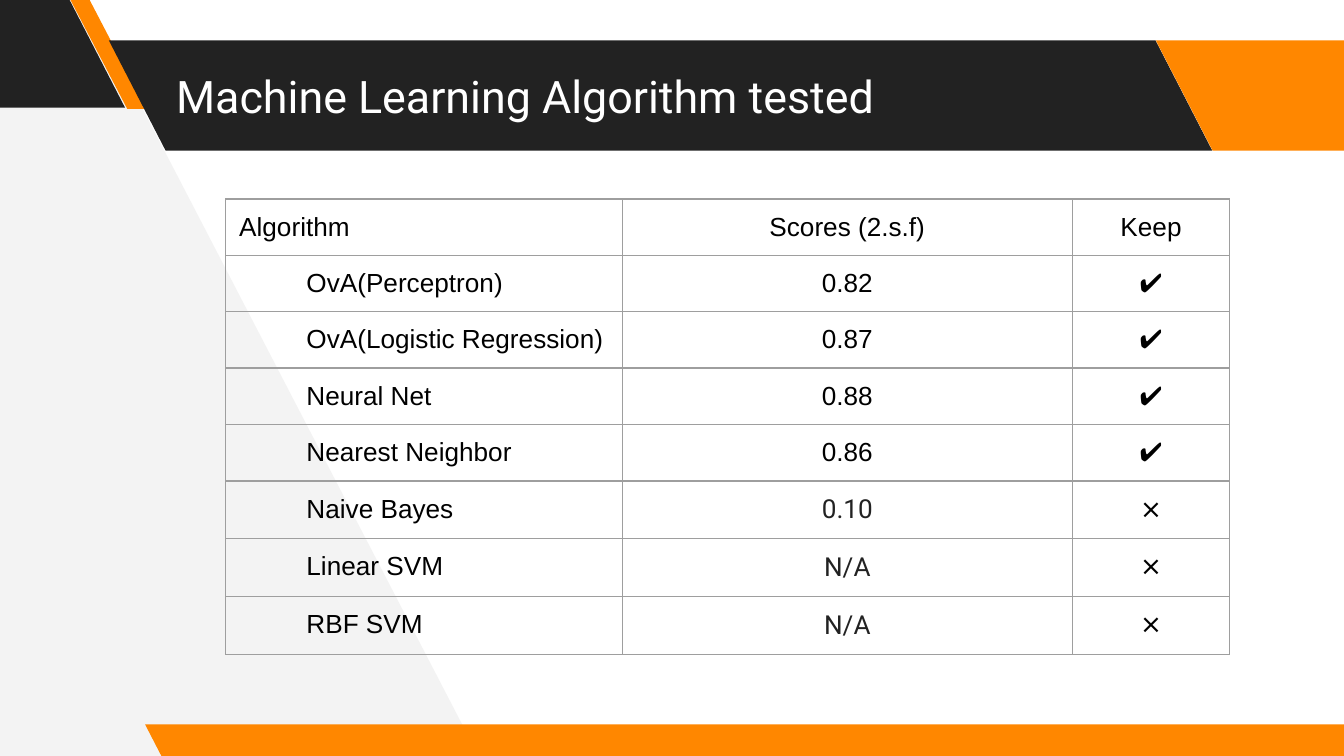
from pptx import Presentation
from pptx.dml.color import RGBColor
from pptx.enum.shapes import MSO_SHAPE as Shape
from pptx.enum.text import MSO_ANCHOR as Anchor, MSO_AUTO_SIZE as AutoSize, PP_ALIGN as Align
from pptx.oxml.ns import qn
from pptx.util import Inches, Pt
from lxml.etree import SubElement

WHITE = RGBColor(0xFF, 0xFF, 0xFF)
BLACK = RGBColor(0, 0, 0)
DARK = RGBColor(0x22, 0x22, 0x22)
ORANGE = RGBColor(0xFF, 0x87, 0x00)
PALE = RGBColor(0xF3, 0xF3, 0xF3)
BORDER = RGBColor(0x9E, 0x9E, 0x9E)

WIDTH = 10
HEIGHT = WIDTH * 9 / 16
BAND_TOP, BAND_HEIGHT = 0.3, 0.82
SLANT = 0.515

TABLE_LEFT, TABLE_TOP = 1.68, 1.48
COLUMNS = (2.95, 3.35, 1.17)
ROW_HEIGHT = 0.42

HEADINGS = ("Algorithm", "Scores (2.s.f)", "Keep")
RESULTS = (
    ("OvA(Perceptron)", "0.82", True),
    ("OvA(Logistic Regression)", "0.87", True),
    ("Neural Net", "0.88", True),
    ("Nearest Neighbor", "0.86", True),
    ("Naive Bayes", "0.10", False),
    ("Linear SVM", "N/A", False),
    ("RBF SVM", "N/A", False),
)


def paint(shape, color):
    shape.shadow.inherit = False
    shape.fill.solid()
    shape.fill.fore_color.rgb = color
    shape.line.fill.background()


def add_slanted_band(page, left, top, width, height, color, slant=SLANT):
    """Add a parallelogram that leans to the left."""
    band = page.shapes.add_shape(Shape.PARALLELOGRAM, Inches(left), Inches(top),
                                 Inches(width), Inches(height))
    band.adjustments[0] = slant
    band._element.spPr.find(qn("a:xfrm")).set("flipH", "1")
    paint(band, color)


def add_side_panel(page):
    corners = [(Inches(x), Inches(y)) for x, y in
               ((3.56, HEIGHT), (0.62, -0.04), (-0.06, -0.04), (-0.02, 5.66))]
    builder = page.shapes.build_freeform(*corners[0])
    builder.add_line_segments(corners[1:], close=True)
    paint(builder.convert_to_shape(), PALE)


def add_decoration(page):
    add_side_panel(page)
    add_slanted_band(page, -0.99, -0.02, 1.92, BAND_HEIGHT, DARK)
    add_slanted_band(page, 0.52, -0.01, 0.57, BAND_HEIGHT, ORANGE, 0.75)
    add_slanted_band(page, 0.81, BAND_TOP, 8.21, BAND_HEIGHT, DARK)
    add_slanted_band(page, 8.6, BAND_TOP, 1.92, BAND_HEIGHT, ORANGE)
    add_slanted_band(page, 1.08, 5.39, 9.15, 0.25, ORANGE)


def format_text(para, size, font, color, align):
    para.alignment = align
    for span in para.runs:
        span.font.size = Pt(size)
        span.font.name = font
        span.font.color.rgb = color


def set_title(page, text):
    title = page.shapes.title
    title.left, title.top = Inches(1.21), Inches(BAND_TOP)
    title.width, title.height = Inches(7.35), Inches(BAND_HEIGHT)
    frame = title.text_frame
    frame.text = text
    frame.auto_size = AutoSize.NONE
    frame.word_wrap = True
    frame.vertical_anchor = Anchor.MIDDLE
    frame.margin_left = frame.margin_right = Inches(0.1)
    frame.margin_top = frame.margin_bottom = Inches(0.1)
    format_text(frame.paragraphs[0], 24, "Roboto", WHITE, Align.LEFT)
    page.shapes._spTree.append(title._element)  # bring in front of the bands


def set_borders(cell):
    properties = cell._tc.get_or_add_tcPr()
    for index, side in enumerate(("lnL", "lnR", "lnT", "lnB")):
        line = properties.makeelement(qn(f"a:{side}"), {"w": str(Pt(0.75))})
        fill = SubElement(line, qn("a:solidFill"))
        SubElement(fill, qn("a:srgbClr"), val=str(BORDER))
        properties.insert(index, line)  # borders come before the fill


def fill_cell(cell, text, align, font="Arial", color=BLACK, indent=0):
    cell.text_frame.text = text
    cell.margin_left = cell.margin_right = Inches(0.1)
    cell.margin_top = cell.margin_bottom = Inches(0.1)
    cell.fill.background()
    set_borders(cell)
    para = cell.text_frame.paragraphs[0]
    format_text(para, 14, font, color, align)
    if indent:
        para_properties = para._p.get_or_add_pPr()
        para_properties.set("marL", str(Inches(indent)))
        para_properties.set("indent", "0")


def add_score_table(page):
    row_count = len(RESULTS) + 1
    table = page.shapes.add_table(
        row_count, len(COLUMNS), Inches(TABLE_LEFT), Inches(TABLE_TOP),
        Inches(sum(COLUMNS)), Inches(ROW_HEIGHT * row_count)).table
    table.first_row = table.horz_banding = False
    for column, width in zip(table.columns, COLUMNS):
        column.width = Inches(width)
    for index, heading in enumerate(HEADINGS):
        fill_cell(table.cell(0, index), heading, Align.CENTER if index else Align.LEFT)
    for row, (algorithm, score, keep) in enumerate(RESULTS, start=1):
        font, color = ("Arial", BLACK) if keep else ("Roboto", DARK)
        fill_cell(table.cell(row, 0), algorithm, Align.LEFT, indent=0.5)
        fill_cell(table.cell(row, 1), score, Align.CENTER, font, color)
        fill_cell(table.cell(row, 2), "✔" if keep else "⨯", Align.CENTER)


def main():
    deck = Presentation()
    deck.slide_width, deck.slide_height = Inches(WIDTH), Inches(HEIGHT)
    page = deck.slides.add_slide(deck.slide_layouts.get_by_name("Title Only"))
    add_decoration(page)
    set_title(page, "Machine Learning Algorithm tested")
    add_score_table(page)
    deck.save("out.pptx")


if __name__ == "__main__":
    main()
